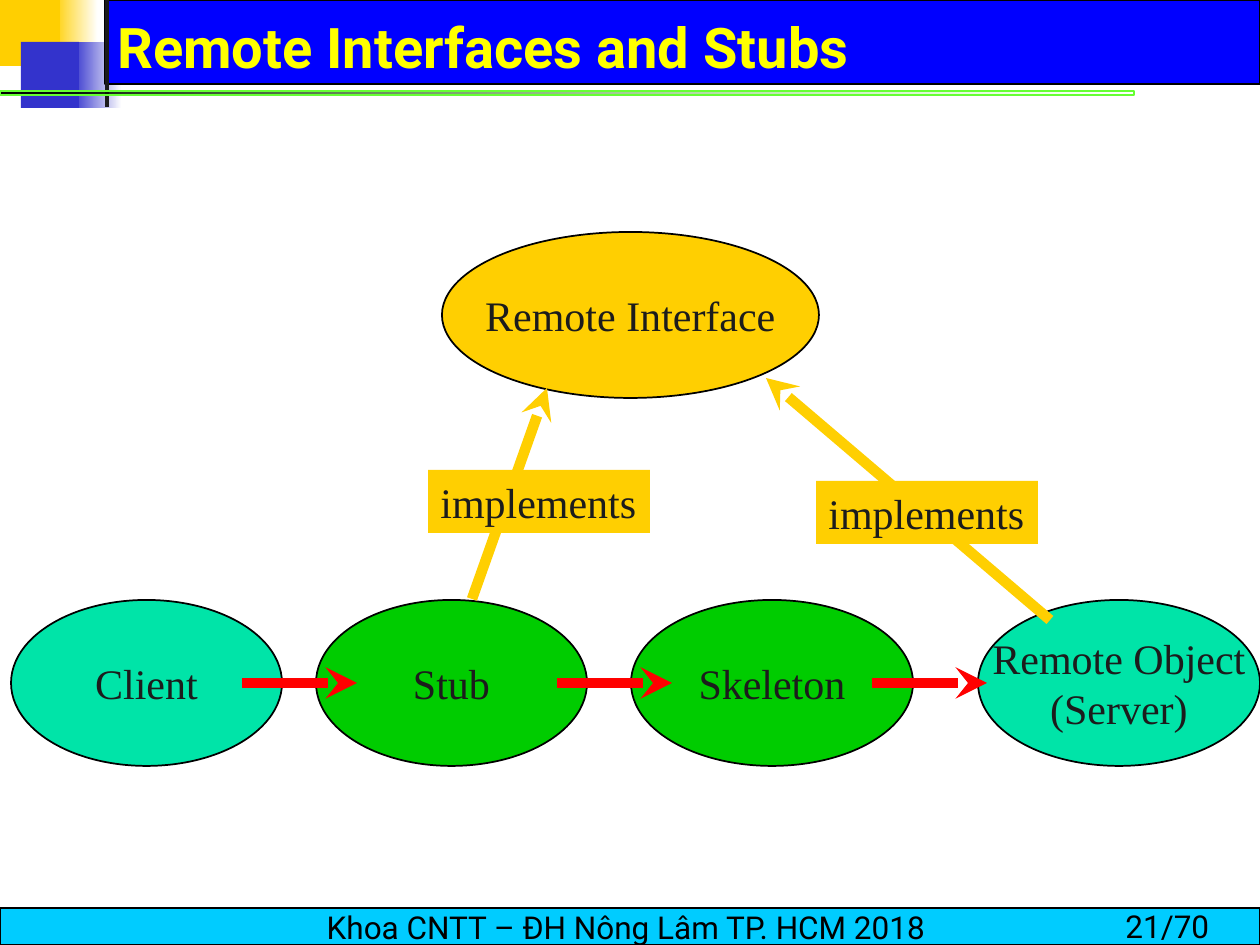
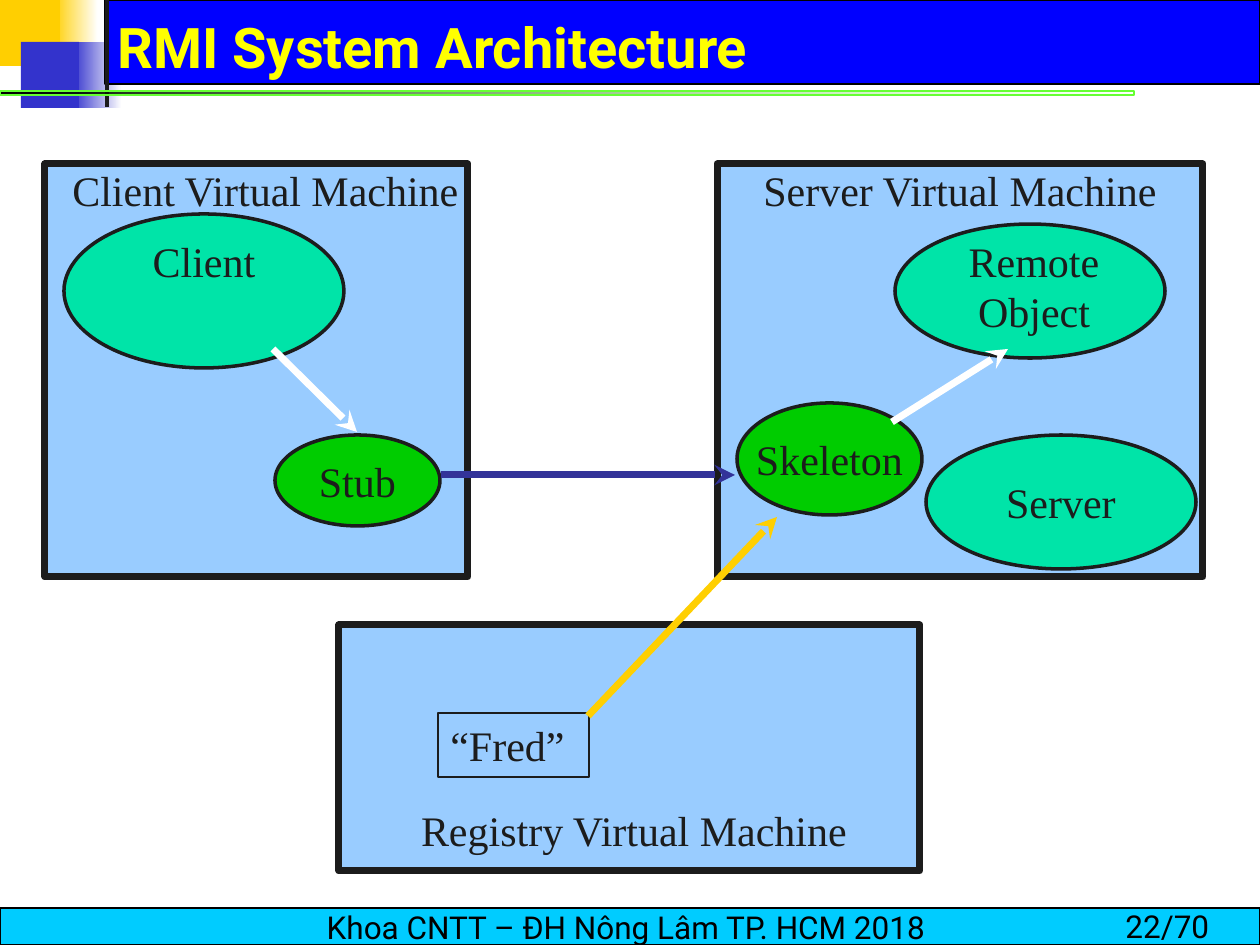
from dataclasses import dataclass
from typing import Any, Optional, Union

from lxml import etree
from pptx import Presentation
from pptx import util as u
from pptx.dml.color import RGBColor
from pptx.enum import shapes, text
from pptx.oxml import ns

EMU_PER_PX = 914400 / 126
PAGE_SIZE = (1260, 945)
PAGE_TOTAL = 70
RECT = shapes.MSO_SHAPE.RECTANGLE
OVAL = shapes.MSO_SHAPE.OVAL
LEFT, CENTER = text.PP_ALIGN.LEFT, text.PP_ALIGN.CENTER
TOP, MIDDLE = text.MSO_ANCHOR.TOP, text.MSO_ANCHOR.MIDDLE


@dataclass(frozen=True)
class TextStyle:
    font: str
    size: int
    color: str
    bold: bool = False


@dataclass(frozen=True)
class Theme:
    black: str = "000000"
    ink: str = "1C1C1C"
    white: str = "FFFFFF"
    gold: str = "FFCF01"
    indigo: str = "3333CC"
    navy: str = "333399"
    blue: str = "0000FF"
    sky: str = "99CCFF"
    cyan: str = "00CCFF"
    lime: str = "66FF33"
    green: str = "00CC00"
    mint: str = "00E4A8"
    red: str = "FF0000"
    title: TextStyle = TextStyle("Roboto", 32, "FFFF00", True)
    footer: TextStyle = TextStyle("Roboto", 18, "000000")
    body: TextStyle = TextStyle("Times New Roman", 24, "1C1C1C")


THEME = Theme()


@dataclass(frozen=True)
class Frame:
    left: int
    top: int
    width: int
    height: int


@dataclass(frozen=True)
class Gradient:
    start: str
    end: str
    fades: bool = False


@dataclass(frozen=True)
class Outline:
    color: str
    width: float


@dataclass(frozen=True)
class Block:
    frame: Frame
    fill: Union[str, Gradient, None] = None
    outline: Optional[Outline] = None
    kind: shapes.MSO_SHAPE = RECT
    words: str = ""
    style: TextStyle = THEME.body
    align: text.PP_ALIGN = CENTER
    anchor: text.MSO_ANCHOR = MIDDLE
    wrap: bool = False
    grows: bool = False


@dataclass(frozen=True)
class Arrow:
    start: tuple[int, int]
    end: tuple[int, int]
    color: str
    width: int


Part = Union[Block, Arrow]


def px(length: int) -> u.Emu:
    return u.Emu(round(length * EMU_PER_PX))


def apply(target: Any, values: dict[str, Any]) -> None:
    for name, value in values.items():
        setattr(target, name, value)


def paint(shape: Any, fill: Union[str, Gradient, None]) -> None:
    if fill is None:
        shape.fill.background()
    elif isinstance(fill, Gradient):
        shape.fill.gradient()
        shape.fill.gradient_angle = 0
        for stop, color, position in zip(shape.fill.gradient_stops, (fill.start, fill.end), (0, 1)):
            stop.color.rgb = RGBColor.from_string(color)
            stop.position = position
        if fill.fades:
            last_color = shape._element.spPr.findall(".//" + ns.qn("a:srgbClr"))[-1]
            etree.SubElement(last_color, ns.qn("a:alpha"), val="0")
    else:
        shape.fill.solid()
        shape.fill.fore_color.rgb = RGBColor.from_string(fill)


def stroke(line: Any, color: str, width: float) -> None:
    line.color.rgb = RGBColor.from_string(color)
    line.width = u.Pt(width)


def write(shape: Any, block: Block) -> None:
    fit = text.MSO_AUTO_SIZE.SHAPE_TO_FIT_TEXT if block.grows else text.MSO_AUTO_SIZE.NONE
    box = shape.text_frame
    apply(box, {"word_wrap": block.wrap, "vertical_anchor": block.anchor, "auto_size": fit})
    for index, words in enumerate(block.words.split("\n")):
        para = box.add_paragraph() if index else box.paragraphs[0]
        para.alignment = block.align
        span = para.add_run()
        span.text = words
        style = block.style
        apply(span.font, {"name": style.font, "size": u.Pt(style.size), "bold": style.bold})
        span.font.color.rgb = RGBColor.from_string(style.color)


def draw_block(page: Any, block: Block) -> None:
    frame = block.frame
    place = [px(n) for n in (frame.left, frame.top, frame.width, frame.height)]
    if block.fill is None and block.outline is None:
        shape = page.shapes.add_textbox(*place)
    else:
        shape = page.shapes.add_shape(block.kind, *place)
        shape.shadow.inherit = False
        paint(shape, block.fill)
        if block.outline:
            stroke(shape.line, block.outline.color, block.outline.width)
        else:
            shape.line.fill.background()
    if block.words:
        write(shape, block)


def draw_arrow(page: Any, arrow: Arrow) -> None:
    ends = [px(n) for n in arrow.start + arrow.end]
    connector = page.shapes.add_connector(shapes.MSO_CONNECTOR.STRAIGHT, *ends)
    stroke(connector.line, arrow.color, arrow.width)
    properties = connector._element.spPr
    etree.SubElement(properties.find(ns.qn("a:ln")), ns.qn("a:tailEnd"), type="stealth")
    etree.SubElement(properties, ns.qn("a:effectLst"))


def draw(page: Any, parts: list[Part]) -> None:
    for part in parts:
        if isinstance(part, Arrow):
            draw_arrow(page, part)
        else:
            draw_block(page, part)


def page_furniture(title: str, number: int) -> list[Part]:
    edge = Outline(THEME.black, 0.75)
    return [
        Block(Frame(53, 0, 45, 66), Gradient(THEME.gold, THEME.white)),
        Block(Frame(72, 42, 50, 66), Gradient(THEME.indigo, THEME.white)),
        Block(Frame(105, 0, 1155, 84), THEME.blue, edge),
        Block(Frame(0, 0, 60, 66), THEME.gold),
        Block(Frame(21, 42, 58, 66), THEME.indigo),
        Block(Frame(105, 0, 4, 107), THEME.ink),
        Block(Frame(0, 91, 1134, 4), Gradient(THEME.black, THEME.lime, True), Outline(THEME.lime, 0)),
        Block(Frame(0, 908, 1260, 37), THEME.cyan, edge,
              words="Khoa CNTT – ĐH Nông Lâm TP. HCM 2018 ", style=THEME.footer),
        Block(Frame(1113, 901, 147, 50), words=f"{number}/{PAGE_TOTAL}", style=THEME.footer,
              align=LEFT, anchor=TOP, wrap=True, grows=True),
        Block(Frame(105, 10, 1126, 73), words=title, style=THEME.title, align=LEFT, wrap=True),
    ]


def oval(frame: Frame, fill: str, weight: int, words: str = "") -> Block:
    color = THEME.black if weight == 1 else THEME.ink
    return Block(frame, fill, Outline(color, weight), OVAL, words)


def caption(frame: Frame, words: str) -> Block:
    return Block(frame, words=words, anchor=TOP, wrap=True, grows=True)


def tag(frame: Frame, words: str, fill: Optional[str] = None,
        outline: Optional[Outline] = None) -> Block:
    return Block(frame, fill, outline, words=words, align=LEFT, anchor=TOP, grows=True)


def machine(frame: Frame) -> Block:
    return Block(frame, THEME.sky, Outline(THEME.ink, 4))


def remote_interfaces() -> list[Part]:
    call_chain = [
        (11, 271, THEME.mint, "Client"),
        (316, 271, THEME.green, "Stub"),
        (631, 282, THEME.green, "Skeleton"),
        (978, 282, THEME.mint, "Remote Object\n(Server)"),
    ]
    return [
        oval(Frame(442, 232, 377, 166), THEME.gold, 1, "Remote Interface"),
        *(oval(Frame(left, 600, width, 166), fill, 1, words)
          for left, width, fill, words in call_chain),
        *(Arrow((left, 683), (left + 115, 683), THEME.red, 6) for left in range(242, 873, 315)),
        Arrow((472, 599), (547, 388), THEME.gold, 6),
        Arrow((1050, 620), (766, 378), THEME.gold, 6),
        *(tag(Frame(left, top, 222, 63), "implements", THEME.gold)
          for left, top in ((428, 470), (816, 481))),
    ]


def system_architecture() -> list[Part]:
    return [
        machine(Frame(45, 164, 423, 413)),
        tag(Frame(60, 158, 415, 63), "Client Virtual Machine"),
        oval(Frame(64, 214, 280, 154), THEME.mint, 2),
        caption(Frame(94, 229, 220, 63), "Client"),
        machine(Frame(717, 164, 486, 413)),
        caption(Frame(724, 158, 472, 63), "Server Virtual Machine"),
        oval(Frame(275, 435, 165, 91), THEME.green, 2, "Stub"),
        oval(Frame(895, 224, 270, 134), THEME.mint, 2),
        caption(Frame(924, 229, 220, 113), "Remote Object"),
        oval(Frame(737, 403, 185, 112), THEME.green, 2, "Skeleton"),
        Arrow((273, 349), (357, 432), THEME.white, 4),
        Arrow((892, 422), (1008, 349), THEME.white, 4),
        machine(Frame(339, 625, 581, 246)),
        caption(Frame(355, 798, 558, 63), "Registry Virtual Machine"),
        tag(Frame(438, 713, 151, 64), "“Fred”", outline=Outline(THEME.ink, 1)),
        Arrow((588, 716), (777, 517), THEME.gold, 4),
        oval(Frame(926, 435, 270, 134), THEME.mint, 2, "Server"),
        Arrow((441, 475), (735, 475), THEME.navy, 4),
    ]


def main() -> None:
    deck = Presentation()
    width, height = PAGE_SIZE
    apply(deck, {"slide_width": px(width), "slide_height": px(height)})
    contents = [
        ("Remote Interfaces and Stubs", remote_interfaces()),
        ("RMI System Architecture", system_architecture()),
    ]
    for number, (title, parts) in enumerate(contents, start=21):
        page = deck.slides.add_slide(deck.slide_layouts[6])
        draw(page, page_furniture(title, number) + parts)
    deck.save("out.pptx")


if __name__ == "__main__":
    main()
